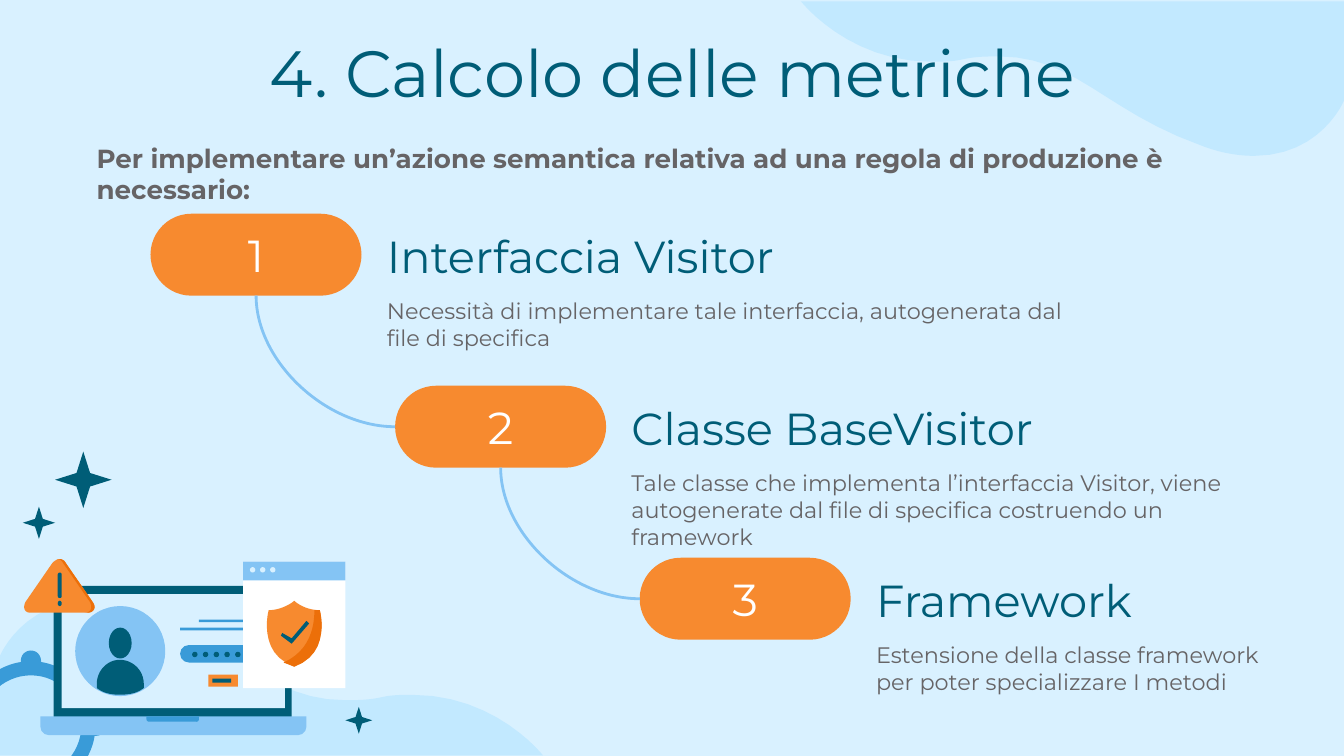
"""Build the slide about metric calculation: three steps and a laptop drawing."""
import math

from lxml import etree
from pptx import Presentation
from pptx.dml.color import RGBColor
from pptx.enum import shapes, text
from pptx.oxml import ns
from pptx.util import Inches, Pt

SKY = RGBColor(0xD9, 0xF1, 0xFF)
PALE = RGBColor(0xC2, 0xE9, 0xFF)
LIGHT = RGBColor(0x84, 0xC4, 0xF4)
BLUE = RGBColor(0x39, 0x9B, 0xD8)
TEAL = RGBColor(0x00, 0x5D, 0x77)
ORANGE = RGBColor(0xF7, 0x8A, 0x2F)
RUST = RGBColor(0xEC, 0x6F, 0x09)
GREY = RGBColor(0x66, 0x64, 0x66)
WHITE = RGBColor(0xFF, 0xFF, 0xFF)
FONT = "Montserrat"

TITLE = "4. Calcolo delle metriche"
INTRO = ("Per implementare un’azione semantica relativa ad una regola di "
         "produzione è necessario:")
STEPS = [
    ("Interfaccia Visitor", 3.87,
     "Necessità di implementare tale interfaccia, autogenerata dal file di specifica", 5.31),
    ("Classe BaseVisitor", 3.97,
     "Tale classe che implementa l’interfaccia Visitor, viene autogenerate dal file "
     "di specifica costruendo un framework", 4.61),
    ("Framework", 2.46,
     "Estensione della classe framework per poter specializzare I metodi", 3.34),
]
STEP_X, STEP_Y, STEP_DX, STEP_DY = 1.12, 1.59, 1.82, 1.28
PILL_W, PILL_H = 1.57, 0.61

RECT = shapes.MSO_SHAPE.RECTANGLE
OVAL = shapes.MSO_SHAPE.OVAL
ROUND = shapes.MSO_SHAPE.ROUNDED_RECTANGLE
FOOT = shapes.MSO_SHAPE.ROUND_2_SAME_RECTANGLE
STAR = shapes.MSO_SHAPE.STAR_4_POINT

BLOB = [(0, 5.62), (0, 4.88), (0, 4.88, 0.17, 4.47, 0.67, 4.47),
        (0.78, 4.47, 0.92, 4.49, 1.07, 4.55), (1.79, 4.81, 2, 5.21, 2.57, 5.21),
        (2.65, 5.21, 2.73, 5.21, 2.83, 5.19), (2.91, 5.17, 2.99, 5.17, 3.07, 5.17),
        (3.69, 5.17, 4.04, 5.62, 4.04, 5.62)]
SHOULDERS = [(0.89, 4.91), (0.8, 4.91, 0.72, 4.99, 0.72, 5.09),
             (0.72, 5.1, 0.72, 5.11, 0.72, 5.12), (0.77, 5.16, 0.83, 5.17, 0.89, 5.17),
             (0.96, 5.17, 1.02, 5.16, 1.07, 5.12), (1.07, 5.11, 1.07, 5.1, 1.07, 5.09),
             (1.07, 4.99, 0.99, 4.91, 0.89, 4.91)]
WARNING = [(0.44, 4.16), (0.43, 4.16, 0.41, 4.17, 0.39, 4.19), (0.19, 4.48),
           (0.17, 4.52, 0.18, 4.56, 0.23, 4.56), (0.65, 4.56),
           (0.7, 4.56, 0.72, 4.52, 0.69, 4.48), (0.49, 4.19),
           (0.48, 4.17, 0.46, 4.16, 0.44, 4.16)]
WARNING_SHADE = [(0.43, 4.16), (0.44, 4.16, 0.46, 4.17, 0.47, 4.19), (0.67, 4.48),
                 (0.69, 4.52, 0.68, 4.56, 0.63, 4.56), *WARNING[4:]]
SHIELD = [(2.19, 4.47), (2.17, 4.49, 2.09, 4.54, 2, 4.54),
          (2, 4.54, 1.91, 4.86, 2.19, 4.96), (2.47, 4.86, 2.38, 4.54, 2.38, 4.54),
          (2.28, 4.54, 2.21, 4.49, 2.19, 4.47)]
SHIELD_SHADE = [(2.34, 4.54), (2.34, 4.66, 2.31, 4.84, 2.11, 4.93),
                (2.14, 4.94, 2.16, 4.95, 2.19, 4.96),
                (2.47, 4.86, 2.38, 4.54, 2.38, 4.54), (2.34, 4.54)]
CHECK = [(2.28, 4.62), (2.17, 4.75), (2.1, 4.71), (2.09, 4.73), (2.17, 4.79), (2.3, 4.64)]

LAPTOP = [
    (STAR, 0.41, 3.36, 0.42, 0.42, TEAL, 0.17),
    (STAR, 0.17, 3.77, 0.24, 0.24, TEAL, 0.17),
    (STAR, 2.57, 5.26, 0.2, 0.2, TEAL, 0.17),
    (ROUND, 0.4, 4.36, 1.77, 1.08, TEAL, 0.05),
    (RECT, 0.46, 4.42, 1.66, 0.85, SKY),
    (FOOT, 0.3, 5.33, 1.98, 0.14, LIGHT, 0.45),
    (FOOT, 1.09, 5.33, 0.39, 0.04, BLUE, 0.45),
    (RECT, 1.48, 4.61, 0.35, 0.02, BLUE),
    (RECT, 1.34, 4.67, 0.63, 0.02, BLUE),
    (ROUND, 1.34, 4.8, 0.63, 0.13, BLUE, 0.5),
    *[(OVAL, 1.43 + 0.08 * i, 4.85, 0.04, 0.04, TEAL) for i in range(6)],
    (RECT, 1.55, 5.02, 0.22, 0.09, ORANGE),
    (RECT, 1.58, 5.05, 0.14, 0.03, TEAL),
    (OVAL, 0.56, 4.51, 0.67, 0.67, LIGHT),
    (OVAL, 0.81, 4.67, 0.17, 0.23, TEAL),
    (SHOULDERS, TEAL),
    (WARNING, ORANGE),
    (WARNING_SHADE, RUST),
    (ROUND, 0.43, 4.26, 0.03, 0.19, TEAL, 0.5),
    (OVAL, 0.43, 4.47, 0.03, 0.04, TEAL),
    (RECT, 1.81, 4.18, 0.76, 0.94, WHITE),
    (RECT, 1.81, 4.18, 0.76, 0.14, LIGHT),
    *[(OVAL, 1.86 + 0.075 * i, 4.22, 0.04, 0.04, SKY) for i in range(3)],
    (SHIELD, ORANGE),
    (SHIELD_SHADE, RUST),
    (CHECK, TEAL),
]


def paint(sp, color):
    sp.shadow.inherit = False
    sp.fill.solid()
    sp.fill.fore_color.rgb = color
    sp.line.fill.background()
    return sp


def preset(parent, kind, x, y, w, h, color, adj=None):
    sp = parent.add_shape(kind, *map(Inches, (x, y, w, h)))
    if adj is not None:
        sp.adjustments[0] = adj
    if kind == FOOT:
        sp.rotation = 180
    return paint(sp, color)


def flatten(path, steps=12):
    points = [path[0]]
    for seg in path[1:]:
        if len(seg) == 2:
            points.append(seg)
            continue
        ctrl = [points[-1], seg[:2], seg[2:4], seg[4:]]
        for t in (i / steps for i in range(1, steps + 1)):
            weights = ((1 - t) ** 3, 3 * t * (1 - t) ** 2, 3 * t * t * (1 - t), t ** 3)
            points.append(tuple(sum(k * c[a] for k, c in zip(weights, ctrl)) for a in (0, 1)))
    return points


def outline(parent, contours, color):
    contours = [[(Inches(x), Inches(y)) for x, y in c] for c in contours]
    fb = parent.build_freeform(*contours[0][0])
    for i, points in enumerate(contours):
        if i:
            fb.move_to(*points[0])
        fb.add_line_segments(points[1:], close=True)
    return paint(fb.convert_to_shape(), color)


def polar(cx, cy, radius, degrees):
    a = math.radians(degrees)
    return cx + radius * math.cos(a), cy + radius * math.sin(a)


def gear(parent, cx, cy, color):
    rim = []
    for tooth in range(0, 360, 45):
        knob = polar(cx, cy, 0.485, tooth)
        rim += [polar(*knob, 0.075, tooth + t) for t in range(-90, 91, 15)]
        rim += [polar(cx, cy, 0.48, tooth + t) for t in range(9, 37, 3)]
    hole = [polar(cx, cy, 0.375, -t) for t in range(0, 360, 6)]
    outline(parent, [rim, hole], color)


def write(sp, words, size, color, align=text.PP_ALIGN.LEFT,
          anchor=text.MSO_ANCHOR.TOP, inset=0.1, bold=False):
    tf = sp.text_frame
    tf.word_wrap = True
    tf.vertical_anchor = anchor
    tf.margin_left = tf.margin_right = Inches(0.1)
    tf.margin_top = tf.margin_bottom = Inches(inset)
    p = tf.paragraphs[0]
    p.text, p.alignment = words, align
    p.font.name, p.font.size, p.font.bold = FONT, Pt(size), bold
    p.font.color.rgb = color


def label(x, y, w, h, words, size, color, **style):
    write(s.shapes.add_textbox(*map(Inches, (x, y, w, h))), words, size, color, **style)


def link(upper, lower):
    c = s.shapes.add_connector(shapes.MSO_CONNECTOR.CURVE, 0, 0, 0, 0)
    c.begin_connect(upper, 2)
    c.end_connect(lower, 1)
    x, y = upper.left + upper.width // 2, upper.top + upper.height
    dx, dy = lower.left - x, lower.top + lower.height // 2 - y
    c.left, c.top = x + (dx - dy) // 2, y + (dy - dx) // 2
    c.width, c.height = dy, dx
    pr = c._element.spPr
    frame = pr.find(ns.qn("a:xfrm"))
    frame.set("rot", "16200000")
    frame.set("flipH", "1")
    pr.find(ns.qn("a:prstGeom")).set("prst", "curvedConnector2")
    c.line.color.rgb = LIGHT
    c.line.width = Pt(1.5)
    etree.SubElement(pr, ns.qn("a:effectLst"))


prs = Presentation()
prs.slide_width = Inches(10)
prs.slide_height = prs.slide_width * 9 // 16
s = prs.slides.add_slide(prs.slide_layouts[6])
s.background.fill.solid()
s.background.fill.fore_color.rgb = SKY

blob = flatten(BLOB)
outline(s.shapes, [blob], PALE)
outline(s.shapes, [[(10 - x, 5.63 - y) for x, y in blob]], PALE)
label(0.79, 0.14, 8.43, 0.74, TITLE, 35, TEAL, align=text.PP_ALIGN.CENTER)

pills = []
for i, (heading, heading_w, body, body_w) in enumerate(STEPS):
    x, y = STEP_X + i * STEP_DX, STEP_Y + i * STEP_DY
    label(x + 1.66, y, heading_w, PILL_H, heading, 24, TEAL, anchor=text.MSO_ANCHOR.BOTTOM)
    label(x + 1.66, y + 0.52, body_w, 0.55, body, 12, GREY)
    pill = preset(s.shapes, ROUND, x, y, PILL_W, PILL_H, ORANGE, 0.5)
    write(pill, str(i + 1), 24, WHITE, text.PP_ALIGN.CENTER, text.MSO_ANCHOR.MIDDLE)
    pills.append(pill)
for upper, lower in zip(pills, pills[1:]):
    link(upper, lower)

drawing = s.shapes.add_group_shape().shapes
gear(drawing, 0.23, 5.4, BLUE)
for kind, *rest in LAPTOP:
    if isinstance(kind, list):
        outline(drawing, [flatten(kind)], *rest)
    else:
        preset(drawing, kind, *rest)

label(0.62, 1.01, 9.03, 0.34, INTRO, 14, GREY, inset=0.05, bold=True)
prs.save("out.pptx")
